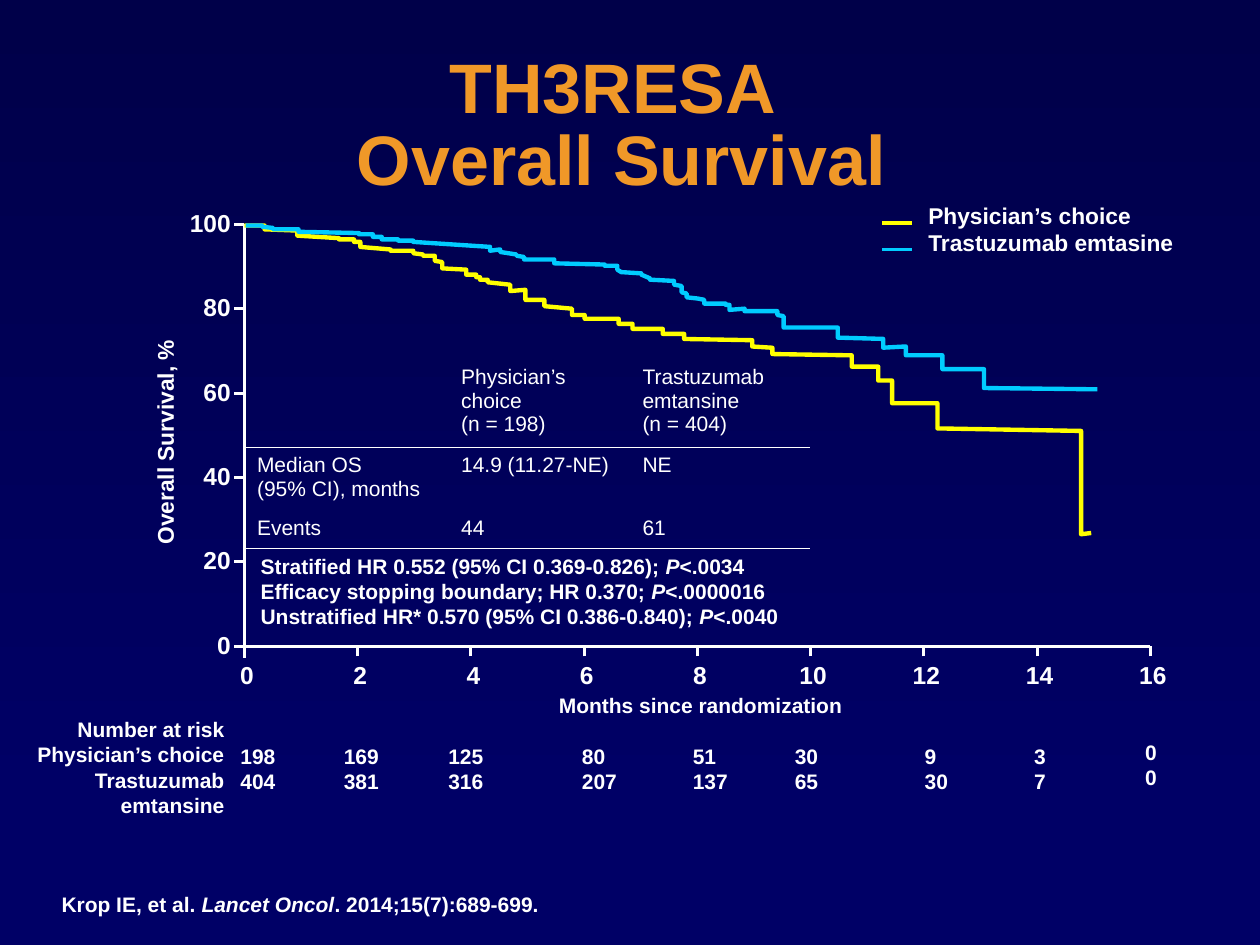
import pptx
import pptx.util
import pptx.dml.color
import pptx.enum.shapes
import pptx.enum.text
import pptx.oxml
import pptx.oxml.ns
from lxml import etree

# All lengths are columns and rows of a 100 x 75 grid.
COLUMNS, ROWS = 100, 75
CELL = pptx.util.Inches(10) // COLUMNS
COLORS = {"top": "000049", "ground": "000066", "title": "F09828", "text": "FFFFFF",
          "shadow": "000000", "physician": "FFFF00", "trastuzumab": "00CCFF"}
ALIGN = {"l": pptx.enum.text.PP_ALIGN.LEFT, "c": pptx.enum.text.PP_ALIGN.CENTER,
         "r": pptx.enum.text.PP_ALIGN.RIGHT}
ANCHOR = {"t": pptx.enum.text.MSO_ANCHOR.TOP, "m": pptx.enum.text.MSO_ANCHOR.MIDDLE}
NO_TABLE_STYLE = "{2D5ABB26-0587-4C30-8999-92F81FD0307C}"

# Each drop: column, row before and row after, counted from the plot's top left.
PHYSICIAN_DROPS = [
    (0, .1, .1), (1.6, .1, .4), (4.2, .5, .9), (7.5, 1.1, 1.2), (8.7, 1.2, 1.4),
    (9.2, 1.4, 1.8), (11.6, 2, 2.1), (13.4, 2.1, 2.3), (14.2, 2.4, 2.5),
    (15.1, 2.5, 2.9), (15.7, 3, 3.5), (17.6, 3.6, 4), (18.4, 4, 4.2), (18.7, 4.2, 4.4),
    (19.3, 4.4, 4.6), (21.1, 4.8, 5.3), (22.3, 5.2, 6), (23.8, 6, 6.5), (26, 6.7, 7.2),
    (27, 7.2, 7.5), (29.7, 7.5, 7.9), (30.8, 7.9, 8.3), (33.2, 8.3, 8.7),
    (34.9, 8.7, 9.1), (40.3, 9.2, 9.7), (41.9, 9.8, 10.3), (48.2, 10.4, 11.3),
    (50.3, 11.3, 12.4), (51.4, 12.4, 14.2), (55, 14.2, 16.2), (66.4, 16.4, 24.6),
    (67.2, 24.5, 24.5)]
TRASTUZUMAB_DROPS = [
    (.1, .1, .1), (1.4, .1, .2), (2.3, .3, .4), (4.3, .4, .6), (9.1, .7, .8),
    (10.2, .8, 1), (10.9, 1, 1.2), (12.2, 1.2, 1.3), (13.4, 1.3, 1.4), (19.5, 1.8, 2.1),
    (20.3, 2, 2.2), (21.6, 2.4, 2.5), (22.2, 2.6, 2.8), (24.6, 2.8, 3.1),
    (28.6, 3.2, 3.3), (29.6, 3.3, 3.6), (29.9, 3.8, 3.8), (31.5, 3.9, 4),
    (32.2, 4.3, 4.4), (34.1, 4.5, 4.8), (34.7, 4.9, 5.4), (35.1, 5.5, 5.8),
    (36, 5.9, 5.9), (36.5, 6, 6.3), (38.2, 6.3, 6.4), (38.5, 6.4, 6.8), (39.7, 6.7, 6.9),
    (42.3, 6.9, 7.2), (42.8, 7.3, 8.2), (47.1, 8.2, 9), (50.7, 9.1, 9.8),
    (52.5, 9.7, 10.4), (55.4, 10.4, 11.5), (58.7, 11.5, 13), (67.7, 13.1, 13.1)]


def grid(*lengths):
    return [round(length * CELL) for length in lengths]


def rgb(name):
    return pptx.dml.color.RGBColor.from_string(COLORS[name])


def write(frame, text, size=12, color="text", bold=True, align="l", anchor="t",
          wrap=True, spacing=None, shadow=False):
    """Fill a text frame; _marks_ set italics, \\v breaks a line."""
    frame.word_wrap = wrap
    frame.vertical_anchor = ANCHOR[anchor]
    for index, line in enumerate(text.split("\n")):
        paragraph = frame.add_paragraph() if index else frame.paragraphs[0]
        paragraph.alignment = ALIGN[align]
        paragraph.line_spacing = spacing
        for part, words in enumerate(line.split("_")):
            for row, piece in enumerate(words.split("\v")):
                if row:
                    paragraph.add_line_break()
                run = paragraph.add_run()
                run.text = piece
                run.font.size = pptx.util.Pt(size)
                run.font.name = "Arial"
                run.font.bold = bold
                run.font.italic = part % 2 == 1
                run.font.color.rgb = rgb(color)
                if shadow:
                    add_text_shadow(run)


def add_text_shadow(run):
    effects = pptx.oxml.parse_xml(
        f'<a:effectLst {pptx.oxml.ns.nsdecls("a")}><a:outerShdw dist="38100" dir="2700000">'
        f'<a:srgbClr val="{COLORS["shadow"]}"/></a:outerShdw></a:effectLst>')
    run.font._element.find(pptx.oxml.ns.qn("a:solidFill")).addnext(effects)


def place_text(slide, box, text, **style):
    label = slide.shapes.add_textbox(*grid(*box))
    write(label.text_frame, text, **style)
    return label


def place_line(slide, start, end, color="text", width=1.75):
    line = slide.shapes.add_connector(
        pptx.enum.shapes.MSO_CONNECTOR.STRAIGHT, *grid(*start, *end))
    line.line.color.rgb = rgb(color)
    line.line.width = pptx.util.Pt(width)
    etree.SubElement(line._element.spPr, pptx.oxml.ns.qn("a:effectLst"))


def place_background(slide, box):
    slide.background.fill.solid()
    slide.background.fill.fore_color.rgb = rgb("ground")
    shade = slide.shapes.add_shape(pptx.enum.shapes.MSO_SHAPE.RECTANGLE, *grid(*box))
    shade.shadow.inherit = False
    shade.line.fill.background()
    shade.fill.gradient()
    shade.fill.gradient_angle = 270
    for stop, name in zip(shade.fill.gradient_stops, ("top", "ground")):
        stop.color.rgb = rgb(name)


def place_axes(slide, box):
    left, top, width, height = box
    bottom = top + height
    place_line(slide, (left, top), (left, bottom + .9))
    place_line(slide, (left + width, bottom), (left - .8, bottom))
    for step in range(6):
        y = bottom - step * height / 5
        if step:
            place_line(slide, (left, y), (left - .8, y))
        place_text(slide, (left - 7.1, y - 1.85, 7, 3.4), str(step * 20),
                   size=14, align="r", anchor="m")
    for step in range(9):
        x = left + step * width / 8
        if step:
            place_line(slide, (x, bottom + .8), (x, bottom))
        place_text(slide, (x - 2.1, bottom + .6, 4.6, 3.4), str(step * 2),
                   size=14, align="c")
    place_text(slide, (left + 16.6, bottom + 3.2, 39.2, 2.8),
               "Months since randomization", align="c")
    title = place_text(slide, (left - 7.9, top + 2.9, 4.2, 28.8), "Overall Survival, %",
                       size=13, align="c")
    title.text_frame._txBody.bodyPr.set("vert", "vert270")


def place_curve(slide, box, drops, color):
    left, top = box[:2]
    points = [grid(left + x, top + y) for x, *levels in drops for y in levels]
    builder = slide.shapes.build_freeform(*points[0])
    builder.add_line_segments(points[1:], close=False)
    curve = builder.convert_to_shape()
    curve.shadow.inherit = False
    curve.fill.background()
    curve.line.color.rgb = rgb(color)
    curve.line.width = pptx.util.Pt(2.5)


def place_legend(slide, box):
    left, top, width, height = box
    place_text(slide, (left + 2.7, top, width - 2.7, height),
               "Physician’s choice\nTrastuzumab emtasine", size=13)
    for row, color in enumerate(("physician", "trastuzumab")):
        y = top + 2.2 + row * 2.1
        place_line(slide, (left, y), (left + 2.4, y), color, 2)


def rule_below(cell):
    cell._tc.get_or_add_tcPr().insert(0, pptx.oxml.parse_xml(
        f'<a:lnB {pptx.oxml.ns.nsdecls("a")} w="12700"><a:solidFill>'
        f'<a:srgbClr val="{COLORS["text"]}"/></a:solidFill></a:lnB>'))


def place_outcomes(slide, box):
    rows = [("", "Physician’s choice \v(n = 198)", "Trastuzumab emtansine \v(n = 404)"),
            ("Median OS\n(95% CI), months", "14.9 (11.27-NE)", "NE"),
            ("Events", "44", "61")]
    table = slide.shapes.add_table(3, 3, *grid(*box)).table
    table.first_row = table.horz_banding = False
    table._tbl.tblPr.find(pptx.oxml.ns.qn("a:tableStyleId")).text = NO_TABLE_STYLE
    for column, width in zip(table.columns, grid(16.2, 14.4, 14.3)):
        column.width = width
    for row, height in zip(table.rows, grid(6.6, 4.7, 2.9)):
        row.height = height
    for r, texts in enumerate(rows):
        for c, text in enumerate(texts):
            cell = table.cell(r, c)
            cell.fill.background()
            write(cell.text_frame, text, bold=False)
            if r != 1:
                rule_below(cell)


def place_risk_counts(slide, box):
    left, top, width, height = box
    place_text(slide, (left, top, 18.2, height),
               "Number at risk\nPhysician’s choice\nTrastuzumab emtansine", align="r")
    counts = [(18.1, 198, 404), (26.3, 169, 381), (34.6, 125, 316), (45.2, 80, 207),
              (54, 51, 137), (62.1, 30, 65), (72.4, 9, 30), (81.1, 3, 7), (89.9, 0, 0)]
    for x, physician, trastuzumab in counts:
        y = top + (1.8 if physician == 0 else 2.1)
        place_text(slide, (x, y, 8.2, 5), f"{physician}\n{trastuzumab}")


def main():
    deck = pptx.Presentation()
    deck.slide_width, deck.slide_height = grid(COLUMNS, ROWS)
    slide = deck.slides.add_slide(deck.slide_layouts[6])
    plot = (19.4, 17.8, 71.9, 33.5)
    place_background(slide, (0, 0, COLUMNS, 64.2))
    place_text(slide, (3, 3.9, 92.6, 12.5), "TH3RESA \vOverall Survival", size=40,
               color="title", align="c", anchor="m", spacing=.85, shadow=True)
    place_axes(slide, plot)
    place_outcomes(slide, (19.4, 28.5, 44.9, 14.2))
    place_text(slide, (19.7, 43.4, 48.7, 8.1),
               "Stratified HR 0.552 (95% CI 0.369-0.826);_ P_<.0034\n"
               "Efficacy stopping boundary; HR 0.370; _P_<.0000016\n"
               "Unstratified HR* 0.570 (95% CI 0.386-0.840); _P_<.0040")
    place_legend(slide, (70, 15.5, 29, 6.4))
    place_curve(slide, plot, PHYSICIAN_DROPS, "physician")
    place_curve(slide, plot, TRASTUZUMAB_DROPS, "trastuzumab")
    place_risk_counts(slide, (.6, 56.4, 97.5, 7))
    place_text(slide, (3.9, 70.3, 83.3, 2.8),
               "Krop IE, et al. _Lancet Oncol_. 2014;15(7):689-699.")
    deck.save("out.pptx")


if __name__ == "__main__":
    main()
